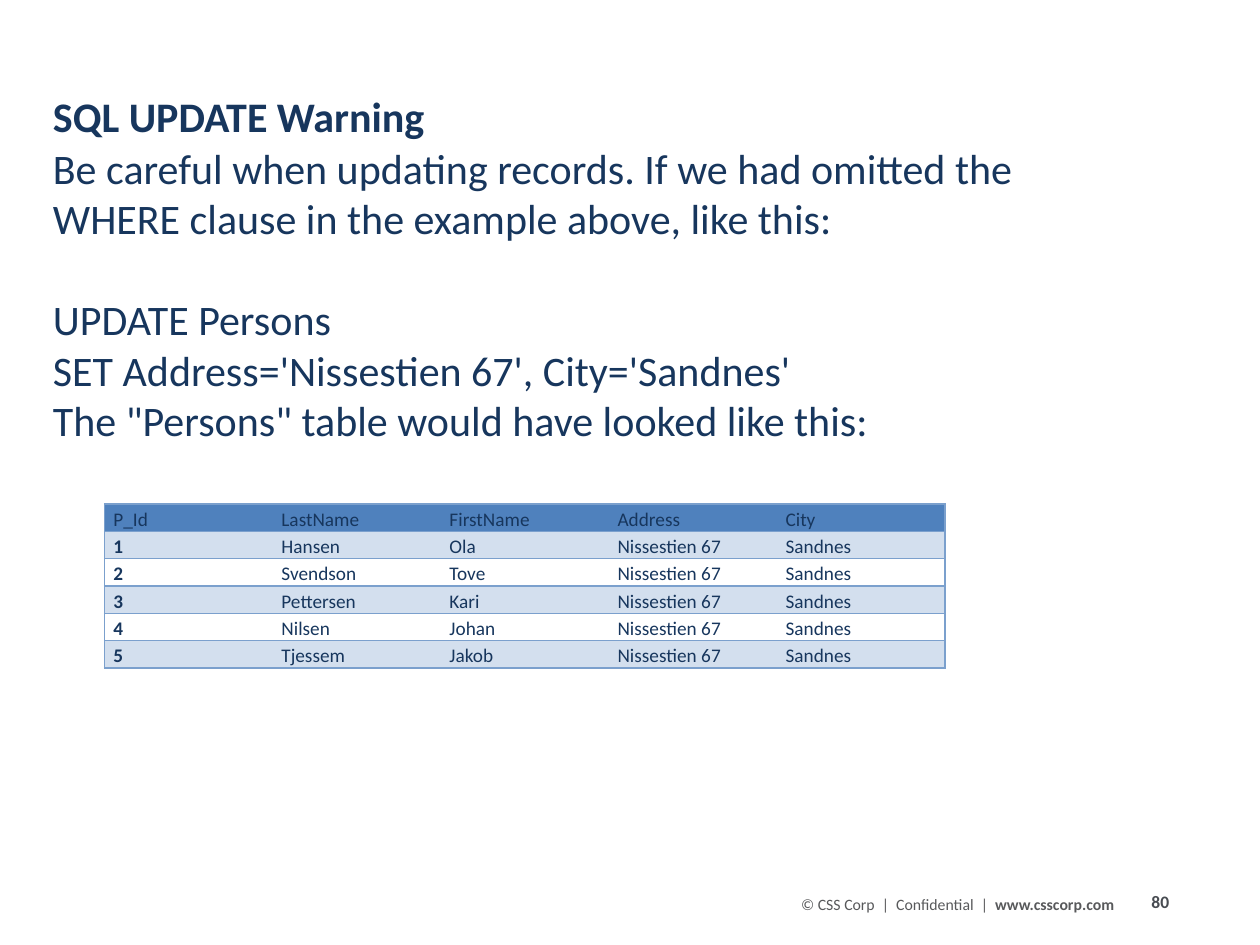
from lxml import etree
from pptx import Presentation
from pptx.dml.color import RGBColor
from pptx.enum.text import MSO_ANCHOR, MSO_AUTO_SIZE, PP_ALIGN
from pptx.oxml.ns import qn
from pptx.util import Inches, Pt

TOP = MSO_ANCHOR.TOP
FIXED = MSO_AUTO_SIZE.NONE
LEFT = PP_ALIGN.LEFT

NAVY = "17365D"
BLUE = "4F81BD"
PALE = "D3DFEE"
RULE = "7BA0CD"
GREY = "58595B"
DARK = "484C52"


def write(para, text, size=24, color=NAVY, bold=False):
    """Add text to a paragraph, with a line break at each newline."""
    for i, line in enumerate(text.split("\n")):
        if i:
            para.add_line_break()
        run = para.add_run()
        run.text = line
        run.font.name = "Calibri"
        run.font.size = Pt(size)
        run.font.bold = bold
        run.font.color.rgb = RGBColor.from_string(color)


def edge(cell, side, color=None):
    """Draw one cell border, or clear it when no colour is given."""
    line = etree.SubElement(cell._tc.get_or_add_tcPr(), qn("a:ln" + side), w=str(Pt(1)))
    if color:
        fill = etree.SubElement(line, qn("a:solidFill"))
        etree.SubElement(fill, qn("a:srgbClr"), val=color)
    else:
        etree.SubElement(line, qn("a:noFill"))


prs = Presentation()
prs.slide_width = Inches(10)
prs.slide_height = Inches(7.5)
slide = prs.slides.add_slide(prs.slide_layouts[1])

# Title and body share one left edge and follow on from each other
title = slide.shapes.title
body = slide.placeholders[1]
for box, top, height in ((title, 0.72, 0.41), (body, 1.13, 2.44)):
    box.left, box.top = Inches(0.42), Inches(top)
    box.width, box.height = Inches(8), Inches(height)
    frame = box.text_frame
    frame.margin_left = frame.margin_right = 0
    frame.margin_top = frame.margin_bottom = 0
    frame.vertical_anchor = TOP
    frame.auto_size = FIXED
    frame.word_wrap = True

head = title.text_frame.paragraphs[0]
head.alignment = LEFT
write(head, "SQL UPDATE Warning", bold=True)

parts = (
    ("Be careful when updating records. If we had omitted the "
     "WHERE clause in the example above, like this:", 0),
    ("UPDATE Persons\nSET Address='Nissestien 67', City='Sandnes'", 29),
    ('The "Persons" table would have looked like this:', 0),
)
for i, (text, gap) in enumerate(parts):
    frame = body.text_frame
    para = frame.add_paragraph() if i else frame.paragraphs[0]
    props = para._p.get_or_add_pPr()
    props.set("marL", "0")
    props.set("indent", "0")
    etree.SubElement(props, qn("a:buNone"))
    para.space_before = Pt(gap)
    write(para, text)

# Persons table
names = (("Hansen", "Ola"), ("Svendson", "Tove"), ("Pettersen", "Kari"),
         ("Nilsen", "Johan"), ("Tjessem", "Jakob"))
rows = [("P_Id", "LastName", "FirstName", "Address", "City")]
for i, (last, first) in enumerate(names, 1):
    rows.append((str(i), last, first, "Nissestien 67", "Sandnes"))

count = len(rows[0])
table = slide.shapes.add_table(len(rows), count, Inches(0.83), Inches(4),
                               Inches(6.67), Inches(1.26)).table
table.first_row = False
table.horz_banding = False
for r, row in enumerate(rows):
    table.rows[r].height = Inches(0.21)
    for c, text in enumerate(row):
        cell = table.cell(r, c)
        cell.margin_left = cell.margin_right = Inches(0.07)
        cell.margin_top = cell.margin_bottom = 0
        edge(cell, "L", RULE if c == 0 else None)
        edge(cell, "R", RULE if c == count - 1 else None)
        edge(cell, "T", RULE)
        edge(cell, "B", RULE)
        if r and r % 2 == 0:
            cell.fill.background()
        else:
            cell.fill.solid()
            cell.fill.fore_color.rgb = RGBColor.from_string(PALE if r else BLUE)
        para = cell.text_frame.paragraphs[0]
        para.line_spacing = 1.15
        write(para, text, size=11, bold=r > 0 and c == 0)

# Footer
foot = slide.shapes.add_textbox(Inches(6.26), Inches(7.05), Inches(3.08), Inches(0.25))
foot.text_frame.word_wrap = True
para = foot.text_frame.paragraphs[0]
write(para, "© CSS Corp  |  Confidential  |  ", size=9, color=GREY)
write(para, "www.csscorp.com", size=9, color=GREY, bold=True)

page = slide.shapes.add_textbox(Inches(9.04), Inches(7.02), Inches(0.79), Inches(0.27))
page.text_frame.word_wrap = True
write(page.text_frame.paragraphs[0], "80", size=10, color=DARK, bold=True)

prs.save("out.pptx")
